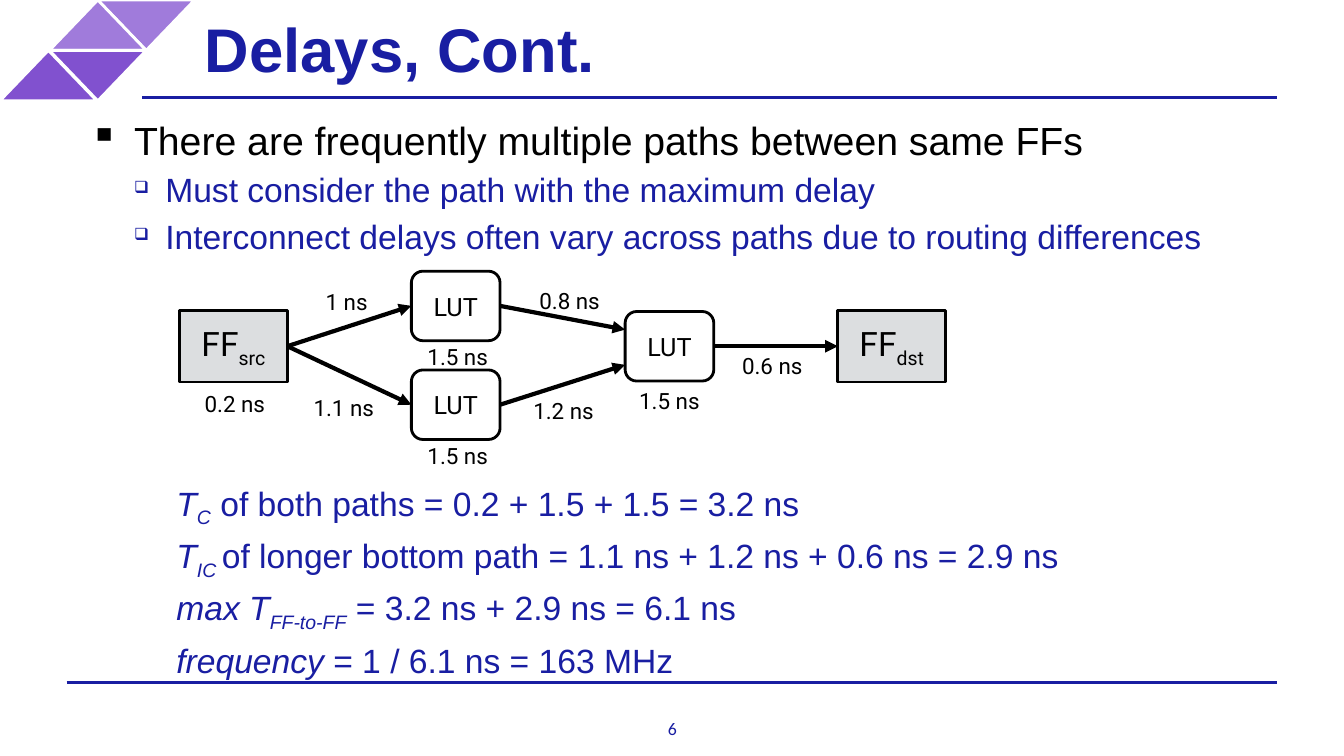
from dataclasses import dataclass
from typing import Optional

import lxml.etree
import pptx
import pptx.dml.color
import pptx.enum.shapes
import pptx.enum.text
import pptx.oxml.ns
import pptx.util

Inches = pptx.util.Inches
Pt = pptx.util.Pt
SHAPE = pptx.enum.shapes.MSO_SHAPE
ALIGN = pptx.enum.text.PP_ALIGN
ANCHOR = pptx.enum.text.MSO_ANCHOR
qn = pptx.oxml.ns.qn

COLORS = {
    "navy": "191EA2",
    "lilac": "A07BDB",
    "purple": "8151CF",
    "gray": "DCDEE0",
    "black": "000000",
    "white": "FFFFFF",
}


@dataclass
class Triangle:
    left: float
    top: float
    color: str
    rotation: int


@dataclass
class Block:
    name: str
    left: float
    top: float
    text: str
    sub: str = ""


@dataclass
class Wire:
    source: str
    target: str
    end_y: Optional[float] = None


@dataclass
class Delay:
    left: float
    top: float
    text: str


@dataclass
class Bullet:
    text: str
    size: float
    color: str
    margin: float
    hang: float
    mark: str
    mark_percent: int
    before: float


@dataclass
class Equation:
    symbol: str
    sub: str
    rest: str


TRIANGLES = [
    Triangle(0.97, 0, "lilac", 180),
    Triangle(0.49, 0, "lilac", 0),
    Triangle(0.49, 0.5, "purple", 180),
    Triangle(0, 0.5, "purple", 0),
]
RULES = [(1.41, 0.97), (0.66, 6.77)]
BLOCKS = [
    Block("src", 1.78, 3.08, "FF", "src"),
    Block("dst", 8.31, 3.08, "FF", "dst"),
    Block("bottom", 4.08, 3.67, "LUT"),
    Block("top", 4.08, 2.69, "LUT"),
    Block("merge", 6.2, 3.09, "LUT"),
]
WIRES = [
    Wire("src", "top"),
    Wire("src", "bottom"),
    Wire("top", "merge", 3.27),
    Wire("bottom", "merge", 3.62),
    Wire("merge", "dst"),
]
DELAYS = [
    Delay(1.97, 3.81, "0.2 ns"),
    Delay(3.17, 2.8, "1 ns"),
    Delay(3.05, 3.85, "1.1 ns"),
    Delay(4.18, 4.33, "1.5 ns"),
    Delay(4.18, 3.35, "1.5 ns"),
    Delay(5.29, 2.79, "0.8 ns"),
    Delay(5.23, 3.88, "1.2 ns"),
    Delay(6.28, 3.78, "1.5 ns"),
    Delay(7.3, 3.44, "0.6 ns"),
]
BULLETS = [
    Bullet("There are frequently multiple paths between same FFs", 28, "black", 0.5, 0.44, "▪", 100, 6),
    Bullet("Must consider the path with the maximum delay", 24, "navy", 0.81, 0.31, "❑", 50, 4.5),
    Bullet("Interconnect delays often vary across paths due to routing differences",
           24, "navy", 0.81, 0.31, "❑", 50, 4.5),
]
EQUATIONS = [
    Equation("T", "C", " of both paths = 0.2 + 1.5 + 1.5 = 3.2 ns"),
    Equation("T", "IC ", "of longer bottom path = 1.1 ns + 1.2 ns + 0.6 ns = 2.9 ns"),
    Equation("max T", "FF-to-FF", " = 3.2 ns + 2.9 ns = 6.1 ns"),
    Equation("frequency", "", " = 1 / 6.1 ns = 163 MHz"),
]


def rgb(name: str) -> pptx.dml.color.RGBColor:
    return pptx.dml.color.RGBColor.from_string(COLORS[name])


def style(r, size: float, font: str, color: str, bold=False, italic=False, sub=False) -> None:
    r.font.size = Pt(size)
    r.font.name = font
    r.font.color.rgb = rgb(color)
    r.font.bold = bold
    r.font.italic = italic
    if sub:
        r.font._element.set("baseline", "-25000")


def set_frame(tf, inset: float, anchor=ANCHOR.MIDDLE, wrap=True) -> None:
    tf.margin_left = tf.margin_right = tf.margin_top = tf.margin_bottom = Inches(inset)
    tf.vertical_anchor = anchor
    tf.word_wrap = wrap


def add_box(slide, left: float, top: float, width: float, height: float,
            inset=0.0, anchor=ANCHOR.TOP, wrap=True):
    sp = slide.shapes.add_textbox(Inches(left), Inches(top), Inches(width), Inches(height))
    set_frame(sp.text_frame, inset, anchor, wrap)
    return sp.text_frame


def add_label(tf, text: str, size: float, font: str, color: str, bold=False, align=ALIGN.LEFT) -> None:
    tf.text = text
    p = tf.paragraphs[0]
    p.alignment = align
    style(p.runs[0], size, font, color, bold)


def add_solid(slide, kind, left: float, top: float, width: float, height: float, fill: str, line: str):
    sp = slide.shapes.add_shape(kind, Inches(left), Inches(top), Inches(width), Inches(height))
    sp.shadow.inherit = False
    sp.fill.solid()
    sp.fill.fore_color.rgb = rgb(fill)
    sp.line.color.rgb = rgb(line)
    sp.line.width = Pt(2)
    return sp


def add_line(slide, x1: int, y1: int, x2: int, y2: int, color: str, width: float, arrow=False):
    cxn = slide.shapes.add_connector(pptx.enum.shapes.MSO_CONNECTOR.STRAIGHT, x1, y1, x2, y2)
    cxn.line.color.rgb = rgb(color)
    cxn.line.width = Pt(width)
    if arrow:
        lxml.etree.SubElement(cxn.line._get_or_add_ln(), qn("a:tailEnd"), type="triangle")
    lxml.etree.SubElement(cxn._element.spPr, qn("a:effectLst"))
    return cxn


def add_block(slide, block: Block):
    if block.sub:
        sp = add_solid(slide, SHAPE.RECTANGLE, block.left, block.top, 1.07, 0.71, "gray", "black")
    else:
        sp = add_solid(slide, SHAPE.ROUNDED_RECTANGLE, block.left, block.top, 0.88, 0.69, "white", "black")
    set_frame(sp.text_frame, 0.06)
    size = 24 if block.sub else 18
    add_label(sp.text_frame, block.text, size, "Roboto", "black", align=ALIGN.CENTER)
    if block.sub:
        r = sp.text_frame.paragraphs[0].add_run()
        r.text = block.sub
        style(r, size, "Roboto", "black", sub=True)
    return sp


def add_wire(slide, wire: Wire, blocks: dict) -> None:
    a, b = blocks[wire.source], blocks[wire.target]
    end_y = b.top + b.height // 2 if wire.end_y is None else Inches(wire.end_y)
    cxn = add_line(slide, a.left + a.width, a.top + a.height // 2, b.left, end_y, "black", 3, True)
    cxn.begin_connect(a, 3)
    if wire.end_y is None:
        cxn.end_connect(b, 1)


def add_bullet(p, bullet: Bullet) -> None:
    p.text = bullet.text
    p.space_before = Pt(bullet.before)
    style(p.runs[0], bullet.size, "Arial", bullet.color)
    pPr = p._p.get_or_add_pPr()
    pPr.set("marL", str(Inches(bullet.margin)))
    pPr.set("indent", str(-Inches(bullet.hang)))
    lxml.etree.SubElement(pPr, qn("a:buSzPct"), val=str(bullet.mark_percent * 1000))
    lxml.etree.SubElement(pPr, qn("a:buChar"), char=bullet.mark)


def add_equation(p, eq: Equation) -> None:
    p.space_before = Pt(4.5)
    for text, italic, sub in ((eq.symbol, True, False), (eq.sub, True, True), (eq.rest, False, False)):
        if text:
            r = p.add_run()
            r.text = text
            style(r, 24, "Arial", "navy", italic=italic, sub=sub)


def main() -> None:
    prs = pptx.Presentation()
    prs.slide_width, prs.slide_height = Inches(13.33), Inches(7.5)
    slide = prs.slides.add_slide(prs.slide_layouts[6])
    for t in TRIANGLES:
        sp = add_solid(slide, SHAPE.ISOSCELES_TRIANGLE, t.left, t.top, 0.96, 0.5, t.color, "white")
        sp.rotation = t.rotation
    for left, y in RULES:
        add_line(slide, Inches(left), Inches(y), Inches(12.67), Inches(y), "navy", 2)
    title = add_box(slide, 1.89, 0, 10.08, 0.95, 0.14, ANCHOR.MIDDLE)
    add_label(title, "Delays, Cont.", 44, "Arial", "navy", bold=True)
    number = add_box(slide, 6.62, 7.12, 0.1, 0.21, wrap=False)
    add_label(number, "6", 12.7, "Calibri", "navy", align=ALIGN.CENTER)
    for top, height, items, add in ((1.15, 1.24, BULLETS, add_bullet), (4.79, 1.95, EQUATIONS, add_equation)):
        tf = add_box(slide, 0.83 if add is add_bullet else 1.75, top, 11.2, height)
        for i, item in enumerate(items):
            add(tf.add_paragraph() if i else tf.paragraphs[0], item)
    blocks = {block.name: add_block(slide, block) for block in BLOCKS}
    for wire in WIRES:
        add_wire(slide, wire, blocks)
    for d in DELAYS:
        add_label(add_box(slide, d.left, d.top, 0.88, 0.38, 0.06, ANCHOR.MIDDLE), d.text, 16, "Roboto", "black")
    prs.save("out.pptx")


if __name__ == "__main__":
    main()
